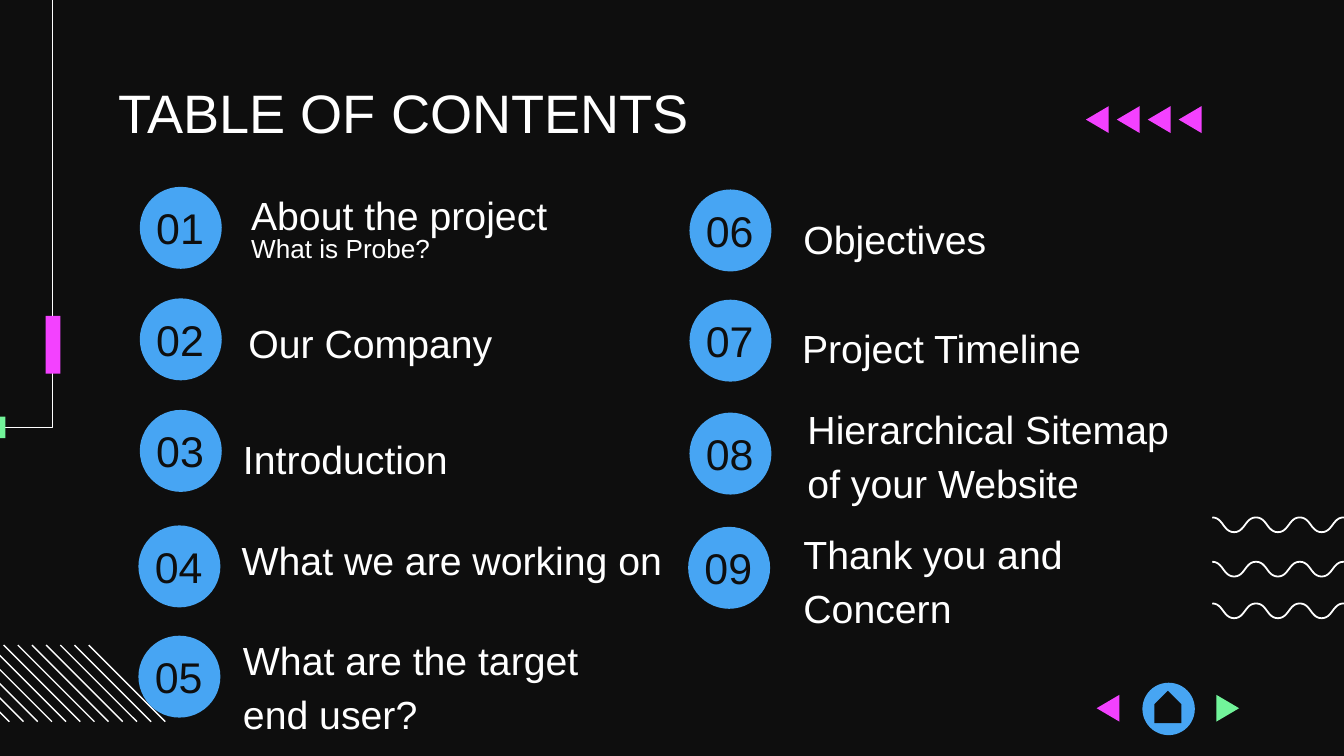
from lxml import etree
from pptx import Presentation
from pptx.dml.color import RGBColor
from pptx.enum import shapes, text
from pptx.oxml.ns import qn
from pptx.util import Inches, Pt

DARK, WHITE, BLUE, PINK, GREEN = "0E0E0E", "FFFFFF", "47A5F3", "F341FF", "72F49A"
TITLE = "TABLE OF CONTENTS"
SUBTITLE = ("What is Probe?", 1.77, 1.73, 2.57, 0.6)

# number, circle (left, top), label, label box (left, top, width), hanging indent
ITEMS = [
    ("01", (1.04, 1.39), "About the project", (1.77, 1.37, 3.16), False),
    ("02", (1.04, 2.22), "Our Company", (1.75, 2.32, 3.16), False),
    ("03", (1.04, 3.05), "Introduction", (1.56, 3.09, 3.16), True),
    ("04", (1.03, 3.91), "What we are working on", (1.7, 3.94, 3.45), False),
    ("05", (1.03, 4.73), "What are the target end user?", (1.71, 4.68, 3.16), False),
    ("06", (5.13, 1.41), "Objectives", (5.73, 1.45, 3.16), True),
    ("07", (5.13, 2.23), "Project Timeline", (5.87, 2.36, 3.16), False),
    ("08", (5.13, 3.07), "Hierarchical Sitemap of your Website", (5.91, 2.96, 3.16), False),
    ("09", (5.12, 3.92), "Thank you and Concern", (5.88, 3.89, 3.16), False),
]
CIRCLE = 0.61
WAVE_TOPS = (3.85, 4.18, 4.49)
WAVE_LEFT, WAVE_WIDTH, WAVE_HEIGHT, WAVE_ARCS, ARC_STEPS = 9.02, 1.14, 0.11, 7, 12
HATCH_LEFT, HATCH_TOP, HATCH_SPAN, HATCH_SIZE, HATCH_COUNT = -0.5, 4.8, 1.16, 0.57, 12
ARROW_WIDTH, ARROW_HEIGHT = 0.17, 0.2


def color(value):
    return RGBColor.from_string(value)


def paint(shape, fill=None, line=None, width=0.75):
    shape.shadow.inherit = False
    if fill:
        shape.fill.solid()
        shape.fill.fore_color.rgb = color(fill)
    else:
        shape.fill.background()
    if line:
        shape.line.color.rgb = color(line)
        shape.line.width = Pt(width)
    else:
        shape.line.fill.background()
    return shape


def add_preset(kind, left, top, width, height, fill):
    box = [Inches(value) for value in (left, top, width, height)]
    return paint(page.shapes.add_shape(kind, *box), fill)


def add_outline(points, closed, **style):
    first, *rest = [(Inches(x), Inches(y)) for x, y in points]
    builder = page.shapes.build_freeform(*first, scale=1.0)
    builder.add_line_segments(rest, close=closed)
    return paint(builder.convert_to_shape(), **style)


def add_arrow(left, top, fill, to_left=True):
    right = left + ARROW_WIDTH
    base, tip = (right, left) if to_left else (left, right)
    points = [(base, top), (tip, top + ARROW_HEIGHT / 2), (base, top + ARROW_HEIGHT)]
    add_outline(points, True, fill=fill)


def add_line(x1, y1, x2, y2):
    line = page.shapes.add_connector(
        shapes.MSO_CONNECTOR.STRAIGHT, *[Inches(value) for value in (x1, y1, x2, y2)])
    line.line.color.rgb = color(WHITE)
    line.line.width = Pt(0.75)
    etree.SubElement(line._element.spPr, qn("a:effectLst"))


def write(box, words, size, fill, inset_top=0, align=text.PP_ALIGN.LEFT):
    frame = box.text_frame
    frame.text = words
    frame.word_wrap = True
    frame.auto_size = text.MSO_AUTO_SIZE.NONE
    frame.vertical_anchor = text.MSO_ANCHOR.TOP
    frame.margin_left = frame.margin_right = frame.margin_bottom = Inches(0.1)
    frame.margin_top = Inches(inset_top)
    para = frame.paragraphs[0]
    para.alignment = align
    font = para.runs[0].font
    font.name, font.size, font.color.rgb = "Arial", Pt(size), color(fill)
    return para


def add_text(left, top, width, height, *args, **kwargs):
    box = page.shapes.add_textbox(Inches(left), Inches(top), Inches(width), Inches(height))
    return write(box, *args, **kwargs)


deck = Presentation()
deck.slide_width = Inches(10)
deck.slide_height = Inches(10 * 9 / 16)
page = deck.slides.add_slide(deck.slide_layouts[5])
page.background.fill.solid()
page.background.fill.fore_color.rgb = color(DARK)

title = page.shapes.title
title.left, title.top, title.width, title.height = map(Inches, (0.78, 0.59, 8.44, 0.46))
write(title, TITLE, 29, WHITE)

# Waves: each arc is an S-curve, alternately falling and rising
for top in WAVE_TOPS:
    points = [(WAVE_LEFT, top)]
    for arc in range(WAVE_ARCS):
        for step in range(1, ARC_STEPS + 1):
            t = step / ARC_STEPS
            across = 1.5 * t * (1 - t) + t ** 3
            down = 3 * t ** 2 - 2 * t ** 3
            if arc % 2:
                down = 1 - down
            points.append((WAVE_LEFT + (arc + across) * WAVE_WIDTH / WAVE_ARCS,
                           top + down * WAVE_HEIGHT))
    add_outline(points, False, line=WHITE, width=0.95)

for index in range(HATCH_COUNT):
    left = HATCH_LEFT + index * HATCH_SPAN / (HATCH_COUNT - 1)
    add_line(left, HATCH_TOP, left + HATCH_SIZE, HATCH_TOP + HATCH_SIZE)

# Corner line with its two markers
add_outline([(0, 3.18), (0.39, 3.18), (0.39, 0)], False, line=WHITE)
RECTANGLE = shapes.MSO_SHAPE.RECTANGLE
add_preset(RECTANGLE, -0.12, 3.1, 0.16, 0.16, GREEN)
add_preset(RECTANGLE, 0.34, 2.35, 0.11, 0.43, PINK)

for number, (left, top), label, (label_left, label_top, width), indented in ITEMS:
    add_preset(shapes.MSO_SHAPE.OVAL, left, top, CIRCLE, CIRCLE, BLUE)
    add_text(left - 0.15, top - 0.09, 0.9, 0.61, number, 23, DARK, 0.2,
             align=text.PP_ALIGN.CENTER)
    para = add_text(label_left, label_top, width, 0.39, label, 21, WHITE,
                    0.1 if indented else 0)
    para.line_spacing = 1.15
    if indented:
        settings = para._p.get_or_add_pPr()
        settings.set("marL", str(Inches(0.5)))
        settings.set("indent", str(Inches(-0.35)))
    else:
        para.space_after = Pt(12)
add_text(*SUBTITLE[1:], SUBTITLE[0], 14, WHITE)

for index in range(4):
    add_arrow(8.08 + index * 0.23, 0.79, PINK)

# Navigation
add_preset(shapes.MSO_SHAPE.OVAL, 8.5, 5.08, 0.39, 0.39, BLUE)
home = add_preset(shapes.MSO_SHAPE.PENTAGON, 8.57, 5.16, 0.24, 0.2, DARK)
home.rotation = 270
add_arrow(8.16, 5.17, PINK)
add_arrow(9.05, 5.17, GREEN, to_left=False)

deck.save("out.pptx")
